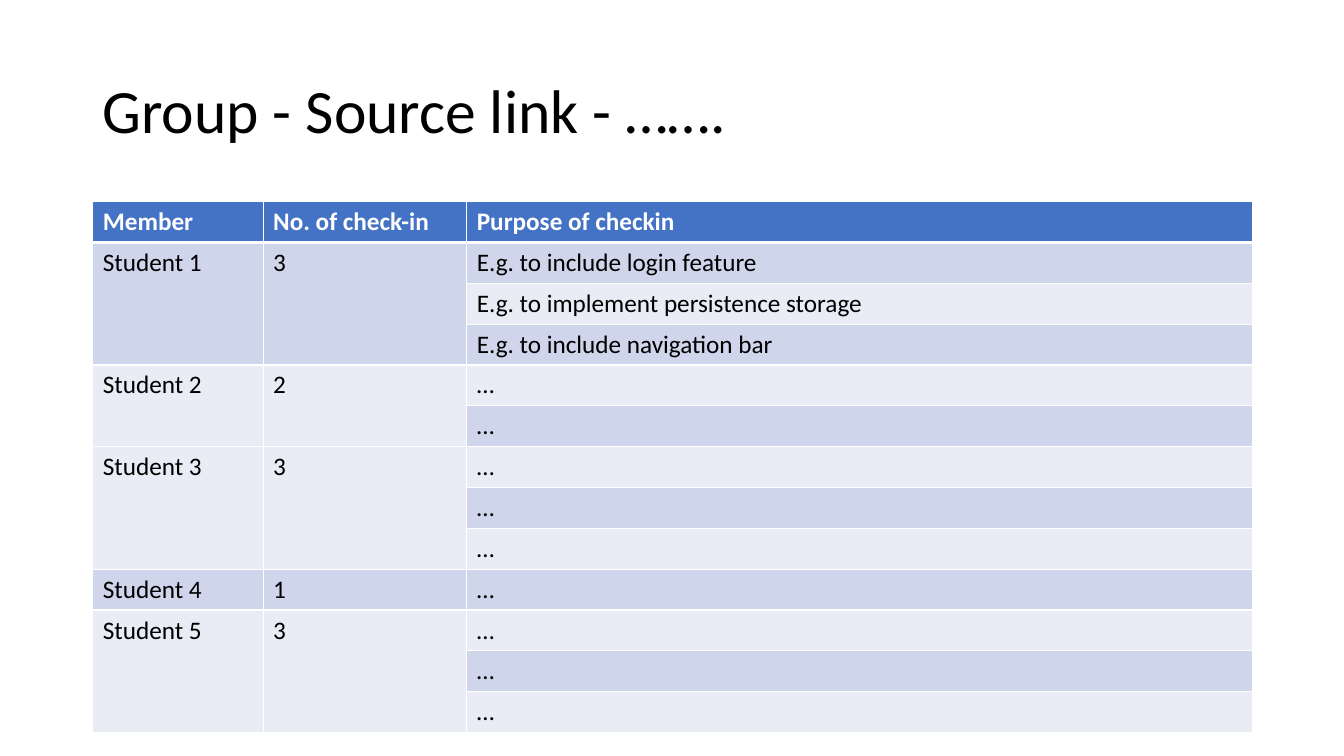
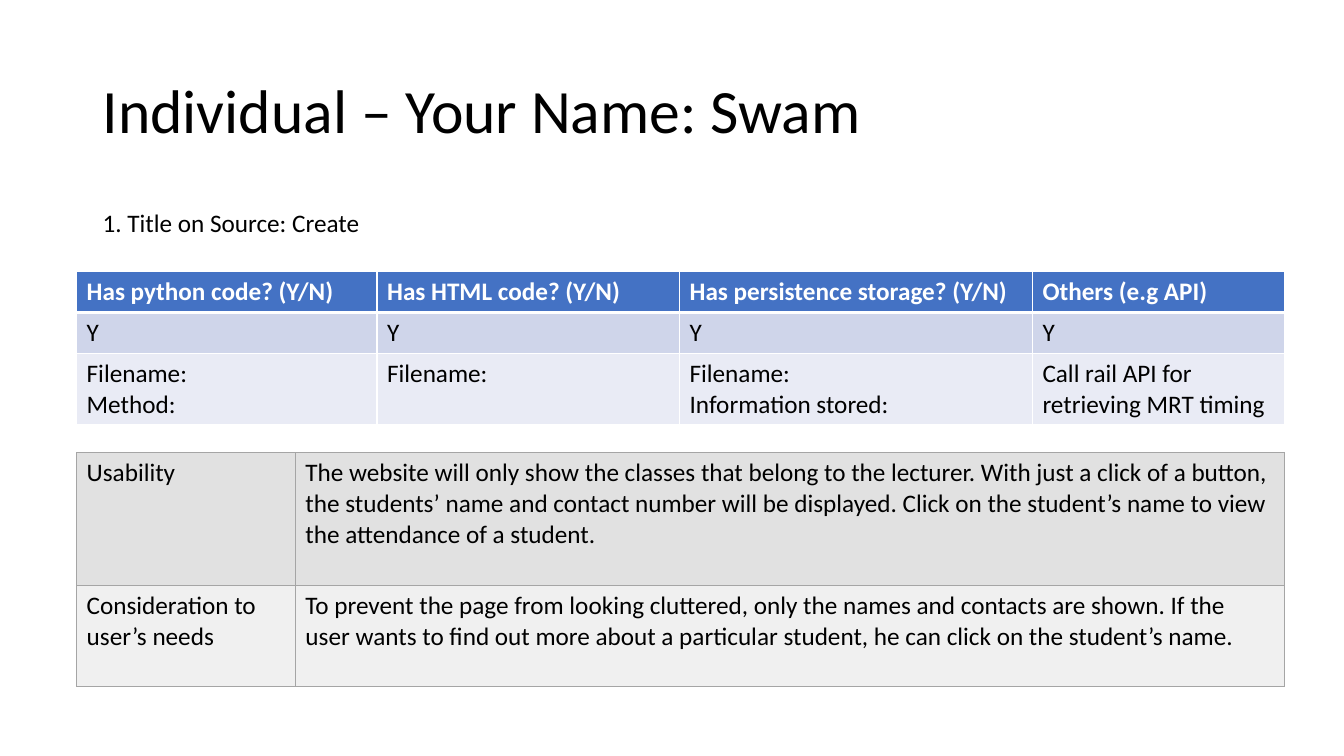
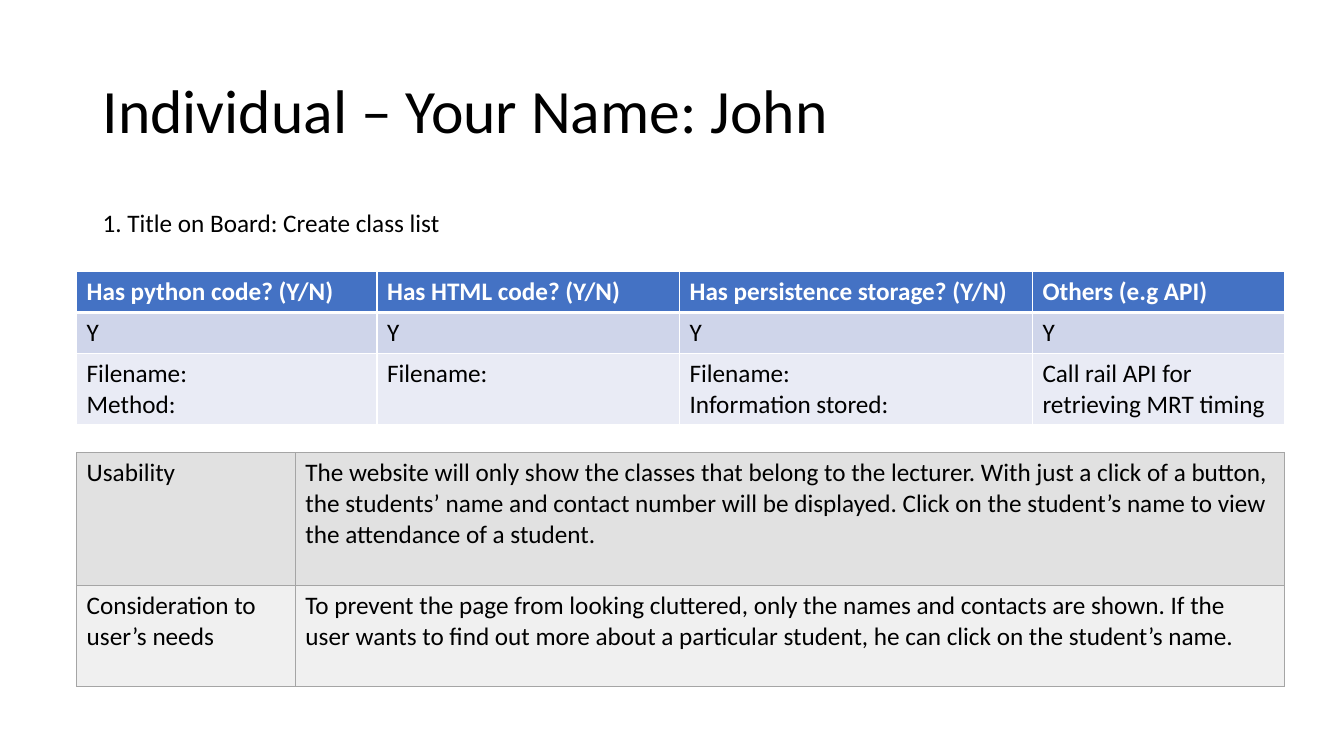
from dataclasses import dataclass

from lxml import etree
from pptx import Presentation
from pptx.dml.color import RGBColor
from pptx.enum import text as txt
from pptx.oxml.ns import qn
from pptx.util import Inches, Pt


@dataclass(frozen=True)
class Theme:
    font: str = "Calibri"
    title_size: int = 44
    body_size: int = 18
    ink: str = "000000"
    paper: str = "FFFFFF"
    header: str = "4472C4"
    blue_bands: tuple = ("CFD5EA", "E9EBF5")
    grey_bands: tuple = ("E1E1E1", "F0F0F0")
    grey_line: str = "A5A5A5"
    thin: int = 1
    thick: int = 3


THEME = Theme()
TITLE_BOX = (0.92, 0.4, 11.5, 1.45)
GROUP_TABLE_HEIGHT = 5.27

CHECKINS = [
    ("Student 1", ["E.g. to include login feature",
                   "E.g. to implement persistence storage",
                   "E.g. to include navigation bar"]),
    ("Student 2", ["…"] * 2),
    ("Student 3", ["…"] * 3),
    ("Student 4", ["…"]),
    ("Student 5", ["…"] * 3),
]
FEATURES = [
    ("Has python code? (Y/N)", "Has HTML code? (Y/N)",
     "Has persistence storage? (Y/N)", "Others (e.g API)"),
    ("Y",) * 4,
    ("Filename:\nMethod:", "Filename:", "Filename:\nInformation stored:",
     "Call rail API for retrieving MRT timing"),
]
DESIGN_NOTES = [
    ("Usability",
     "The website will only show the classes that belong to the lecturer. "
     "With just a click of a button, the students’ name and contact number "
     "will be displayed. Click on the student’s name to view the attendance "
     "of a student."),
    ("Consideration to user’s needs",
     "To prevent the page from looking cluttered, only the names and contacts "
     "are shown. If the user wants to find out more about a particular "
     "student, he can click on the student’s name."),
]
INDIVIDUALS = [
    ("Swam", "1. Title on Source: Create", 2.9),
    ("John", "1. Title on Board: Create class list", 3.64),
]


# Text
def write(frame, content, size=THEME.body_size, color=THEME.ink, bold=False):
    for index, line in enumerate(content.split("\n")):
        para = frame.add_paragraph() if index else frame.paragraphs[0]
        span = para.add_run()
        span.text = line
        span.font.name = THEME.font
        span.font.size = Pt(size)
        span.font.bold = bold
        span.font.color.rgb = RGBColor.from_string(color)


def add_label(page, box, content, size=THEME.body_size):
    frame = page.shapes.add_textbox(*map(Inches, box)).text_frame
    frame.word_wrap = True
    write(frame, content, size)
    return frame


def add_title(page, content):
    frame = add_label(page, TITLE_BOX, content, THEME.title_size)
    frame.vertical_anchor = txt.MSO_ANCHOR.MIDDLE
    frame.paragraphs[0].line_spacing = 0.9


# Tables
def set_borders(cell, color, top, bottom):
    props = cell._tc.get_or_add_tcPr()
    widths = {"lnL": THEME.thin, "lnR": THEME.thin, "lnT": top, "lnB": bottom}
    for place, (side, width) in enumerate(widths.items()):
        line = etree.Element(qn(f"a:{side}"), w=str(Pt(width)))
        fill = etree.SubElement(line, qn("a:solidFill"))
        etree.SubElement(fill, qn("a:srgbClr"), val=color)
        props.insert(place, line)


def add_grid(page, corner, widths, heights, rows, bands, line, header=True):
    """Draw banded rows; None continues the cell above it."""
    frame = page.shapes.add_table(
        len(rows), len(widths), *map(Inches, (*corner, sum(widths), sum(heights))))
    table = frame.table
    table.first_row = table.horz_banding = False
    for column, width in zip(table.columns, widths):
        column.width = Inches(width)
    for row, height in zip(table.rows, heights):
        row.height = Inches(height)

    for c in range(len(widths)):
        start = 0
        for r, row in enumerate(rows):
            cell = table.cell(r, c)
            is_head = header and r == 0
            if row[c] is not None:
                start = r
                write(cell.text_frame, row[c], bold=is_head,
                      color=THEME.paper if is_head else THEME.ink)
            cell.fill.solid()
            cell.fill.fore_color.rgb = RGBColor.from_string(
                THEME.header if is_head else bands[(start - header) % 2])
            set_borders(cell, line,
                        THEME.thick if header and r == 1 else THEME.thin,
                        THEME.thick if is_head else THEME.thin)
            if start < r and (r + 1 == len(rows) or rows[r + 1][c] is not None):
                table.cell(start, c).merge(cell)


# Slides
def add_group_page(page):
    add_title(page, "Group - Source link - …….")
    rows = [("Member", "No. of check-in", "Purpose of checkin")]
    for member, purposes in CHECKINS:
        rows.append((member, str(len(purposes)), purposes[0]))
        rows += [(None, None, purpose) for purpose in purposes[1:]]
    heights = [GROUP_TABLE_HEIGHT / len(rows)] * len(rows)
    add_grid(page, (0.92, 2), (1.69, 2.02, 7.79), heights, rows,
             THEME.blue_bands, THEME.paper)


def add_individual_page(page, name, task, task_width):
    add_title(page, f"Individual – Your Name: {name}")
    add_grid(page, (0.76, 2.69), (2.98, 3, 3.5, 2.5), (0.41, 0.41, 0.7),
             FEATURES, THEME.blue_bands, THEME.paper)
    add_label(page, (0.92, 2.01, task_width, 0.4), task)
    add_grid(page, (0.76, 4.49), (2.17, 9.81), (1.32, 1), DESIGN_NOTES,
             THEME.grey_bands, THEME.grey_line, header=False)


def main():
    deck = Presentation()
    deck.slide_width, deck.slide_height = Inches(13.33), Inches(7.5)
    blank = deck.slide_layouts[6]
    add_group_page(deck.slides.add_slide(blank))
    for person in INDIVIDUALS:
        add_individual_page(deck.slides.add_slide(blank), *person)
    deck.save("out.pptx")


if __name__ == "__main__":
    main()
